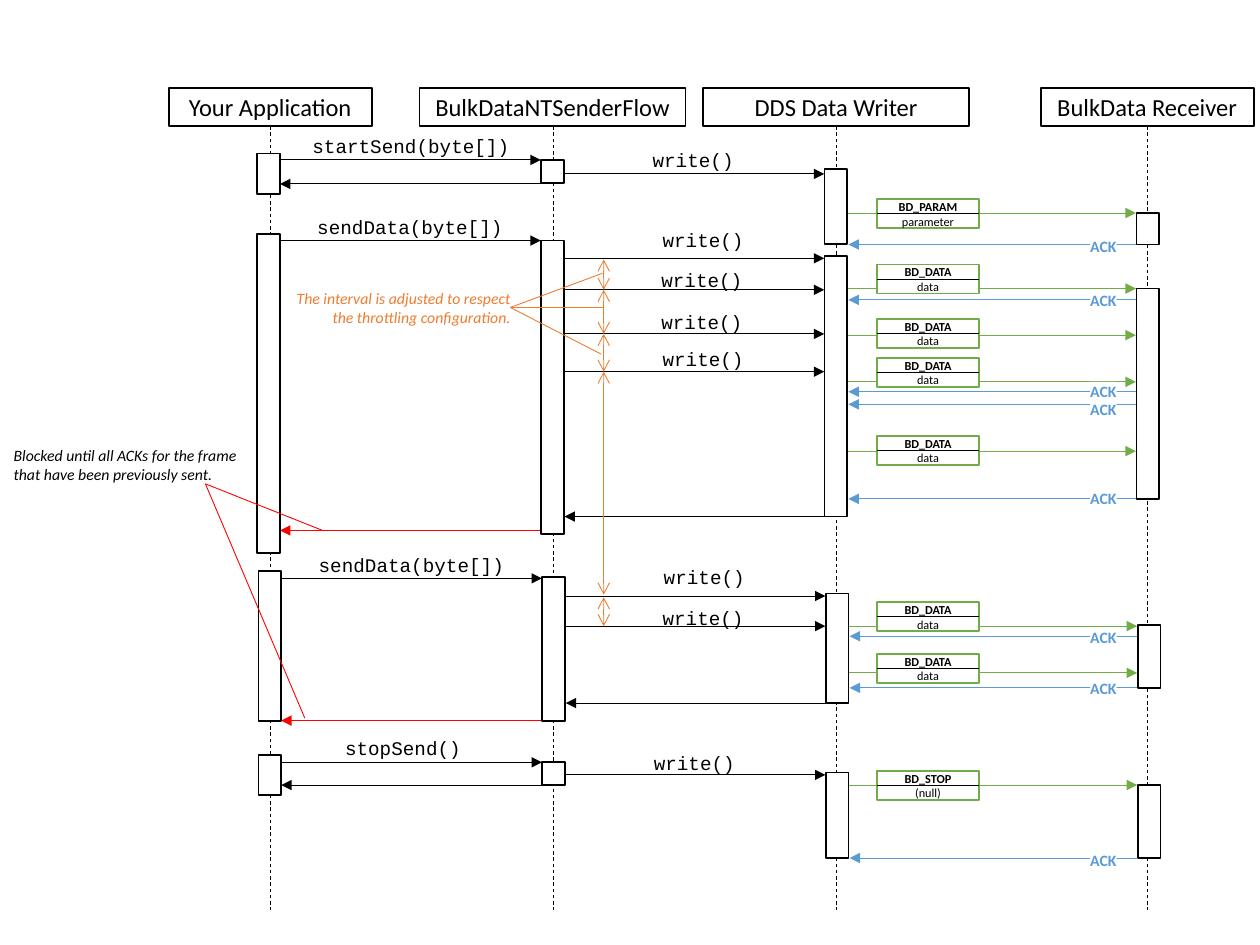
"""Sequence diagram of a bulk data transfer with throttling and acknowledgements."""
from pptx import Presentation
from pptx.dml.color import RGBColor
from pptx.enum.dml import MSO_LINE
from pptx.enum.shapes import MSO_CONNECTOR, MSO_SHAPE
from pptx.enum.text import MSO_ANCHOR, MSO_AUTO_SIZE, PP_ALIGN
from pptx.oxml.ns import qn
from pptx.util import Pt
from lxml.etree import SubElement

BLACK = RGBColor(0, 0, 0)
WHITE = RGBColor(255, 255, 255)
GREEN = RGBColor(0x70, 0xAD, 0x47)
BLUE = RGBColor(0x5B, 0x9B, 0xD5)
ORANGE = RGBColor(0xED, 0x7D, 0x31)
RED = RGBColor(255, 0, 0)
LEFT, RIGHT, CENTER = PP_ALIGN.LEFT, PP_ALIGN.RIGHT, PP_ALIGN.CENTER
TOP, MIDDLE = MSO_ANCHOR.TOP, MSO_ANCHOR.MIDDLE

deck = Presentation()
deck.slide_width, deck.slide_height = Pt(720), Pt(540)
slide = deck.slides.add_slide(deck.slide_layouts[6])
shapes = slide.shapes


def draw(x1, y1, x2, y2, color, tail=None, head=None):
    """Draw a thin line with optional arrowheads."""
    line = shapes.add_connector(MSO_CONNECTOR.STRAIGHT, Pt(x1), Pt(y1), Pt(x2), Pt(y2))
    line.line.color.rgb = color
    line.line.width = Pt(0.5)
    SubElement(line._element.spPr, qn("a:effectLst"))
    for tag, kind in (("a:headEnd", head), ("a:tailEnd", tail)):
        if kind:
            SubElement(line.line._get_or_add_ln(), qn(tag)).set("type", kind)
    return line


def write(shape, text, size, color, align, inset=0, anchor=TOP, wrap=False,
          font="Calibri", bold=False, slant=False):
    """Fill a shape with text, with bold kept to the first paragraph."""
    frame = shape.text_frame
    frame.text = text
    frame.word_wrap = wrap
    frame.vertical_anchor = anchor
    frame.margin_left = frame.margin_right = Pt(inset)
    frame.margin_top = frame.margin_bottom = Pt(inset / 2)
    for row, para in enumerate(frame.paragraphs):
        para.alignment = align
        for run in para.runs:
            run.font.name = font
            run.font.size = Pt(size)
            run.font.color.rgb = color
            run.font.bold = bold and row == 0
            run.font.italic = slant


for life in (154.3, 316.2, 477.8, 655.4):
    draw(life, 72, life, 520, BLACK).line.dash_style = MSO_LINE.DASH

flows = [
    (160, 309, BLACK, (91.4, 137.5, 330.5, 435.6)),
    (309, 160, BLACK, (105.1, 448.6)),
    (322.6, 471, BLACK, (99.4, 147.6, 165.6, 190.8, 212.4, 340.6, 357.8, 442.8)),
    (474, 322.6, BLACK, (295.2, 401.8)),
    (309, 160, RED, (303.1, 411.8)),
    (484.6, 649.1, GREEN, (121.7, 164.9, 191.5, 218.2, 257.8, 357.8, 384.5, 448.6)),
    (649.1, 484.8, BLUE, (139.7, 171.4, 223.9, 231.1, 285.1, 363.6, 393.1, 490.3)),
]
for start, end, color, tops in flows:
    for y in tops:
        shift = 0.7 if y > 310 else 0
        draw(start + shift, y, end + shift, y, color, "triangle")

heads = [(96.5, 116, "Your Application"), (239.8, 152, "BulkDataNTSenderFlow"),
         (401.8, 152, "DDS Data Writer"), (594.7, 121.7, "BulkData Receiver")]
bars = [
    (147, [(87.8, 23), (133.9, 182.2), (326.2, 85.7), (431.3, 23)]),
    (309.2, [(91.4, 13), (137.5, 167.8), (329.8, 82.1), (435.6, 13)]),
    (471.2, [(96.5, 43.2), (146.2, 149), (339.1, 62.6), (441.4, 49)]),
    (649.4, [(121.7, 18), (164.9, 120.2), (357.1, 36), (448.6, 41.8)]),
]
packs = [(113.8, "BD_PARAM\nparameter"), (440.6, "BD_STOP\n(null)")]
packs += [(y, "BD_DATA\ndata") for y in (151.2, 182.2, 204.5, 249.1, 344.2, 373.7)]
acks = (135.4, 166.3, 218.2, 228.2, 279.4, 358.6, 388.1, 486)

top = dict(size=14, color=BLACK, align=CENTER, inset=7.2, anchor=MIDDLE)
pack = dict(size=7, color=BLACK, align=CENTER, bold=True)
ack = dict(size=9, color=BLUE, align=LEFT, bold=True)
boxes = [(x, 50.4, w, 21.6, BLACK, name, top) for x, w, name in heads]
boxes += [(x + (0.7 if y > 310 else 0), y, 13, h, BLACK, "", top)
          for x, spans in bars for y, h in spans]
boxes += [(501.1, y, 58.3, 16.6, GREEN, text, pack) for y, text in packs]
boxes += [(623, y, 15.1, 10.8, None, "ACK", ack) for y in acks]
for x, y, w, h, edge, text, style in boxes:
    box = shapes.add_shape(MSO_SHAPE.RECTANGLE, Pt(x), Pt(y), Pt(w), Pt(h))
    box.shadow.inherit = False
    box.fill.solid()
    box.fill.fore_color.rgb = WHITE
    if edge is None:
        box.line.fill.background()
    else:
        box.line.color.rgb = edge
        box.line.width = Pt(1)
    if text:
        write(box, text, **style)

for y, text in packs:
    draw(501.1, y + 8.3, 559.4, y + 8.3, BLACK)

code = dict(size=11, color=BLACK, align=LEFT, inset=7.2, font="Courier New")
tips = [(171.4, 73.4, 128.2, "startSend(byte[])"), (174.2, 119.5, 121.7, "sendData(byte[])"),
        (175, 312.5, 121.7, "sendData(byte[])"), (190.1, 416.9, 81.4, "stopSend()")]
tips += [(x, y, 61.2, "write()") for x, y in (
    (365.8, 81.4), (371.5, 126.7), (370.8, 149.8), (370.8, 173.5),
    (371.5, 195.1), (372.2, 319.7), (371.5, 342.7), (366.5, 425.5))]
labels = [(x, y, w, 20.9, text, code) for x, y, w, text in tips]
labels += [
    (160.6, 164.9, 131, 21.6,
     "The interval is adjusted to respect the throttling configuration.",
     dict(size=9, color=ORANGE, align=RIGHT, wrap=True, slant=True)),
    (0.7, 251.3, 146.9, 28.8,
     "Blocked until all ACKs for the frame that have been previously sent.",
     dict(size=9, color=BLACK, align=LEFT, inset=7.2, wrap=True, slant=True)),
]
for x, y, w, h, text, style in labels:
    label = shapes.add_textbox(Pt(x), Pt(y), Pt(w), Pt(h))
    write(label, text, **style)
    label.text_frame.auto_size = MSO_AUTO_SIZE.SHAPE_TO_FIT_TEXT

for y1, y2 in ((148.3, 165.6), (165.6, 190.8), (190.8, 212.4), (212.4, 339.8), (341.3, 357.8)):
    draw(345, y1, 345, y2, ORANGE, "arrow", "arrow")
for x, y in ((344.2, 156.2), (344.9, 175.7), (343.4, 202.3)):
    draw(291.6, 175.7, x, y, ORANGE)
for x, y in ((184.3, 303.1), (174.2, 410.4)):
    draw(117.4, 276.5, x, y, RED)

deck.save("out.pptx")
